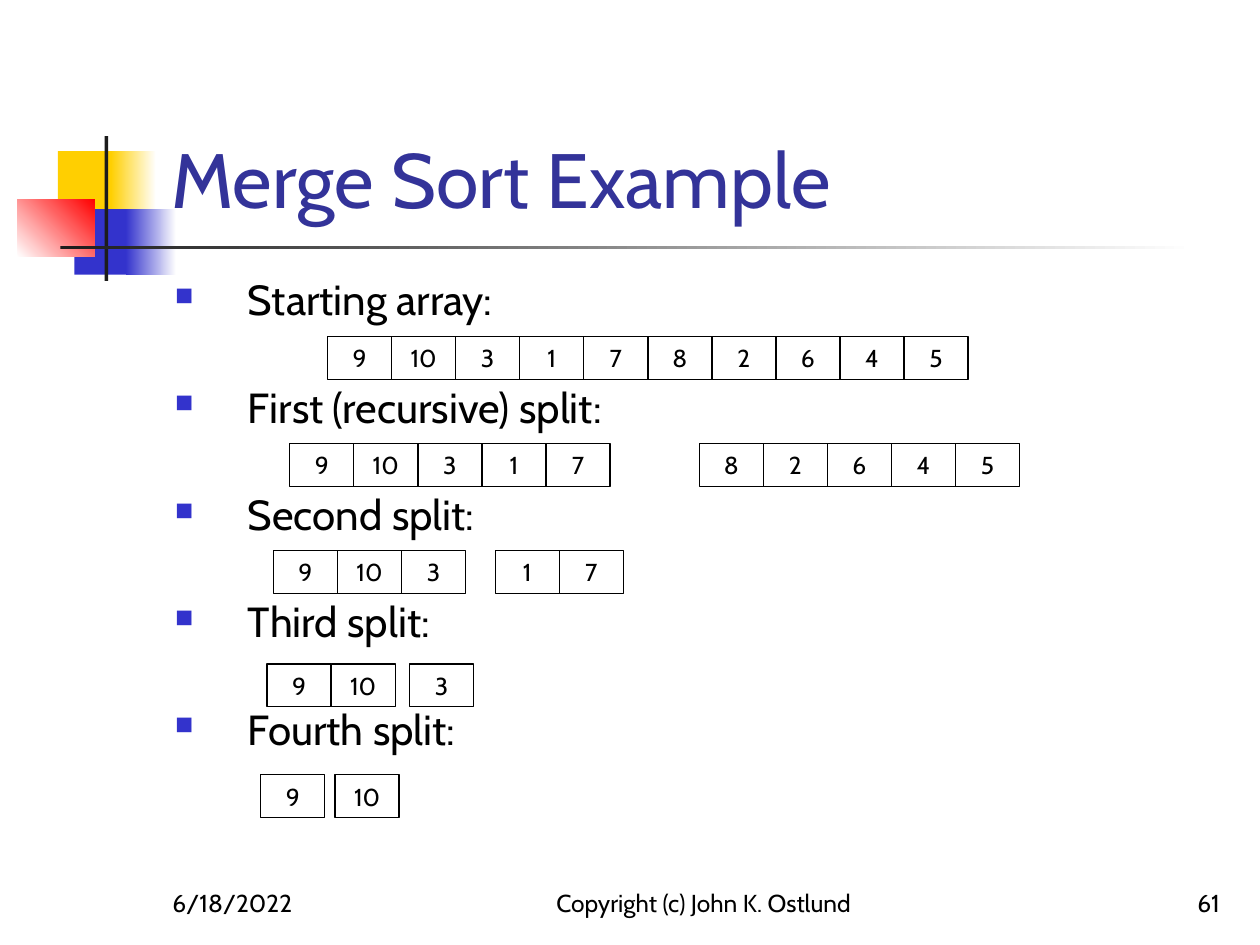
from dataclasses import dataclass

from lxml import etree
from pptx import Presentation
from pptx.dml.color import RGBColor
from pptx.enum.shapes import MSO_SHAPE
from pptx.enum.text import MSO_ANCHOR, MSO_AUTO_SIZE, PP_ALIGN
from pptx.oxml.ns import qn
from pptx.util import Inches, Pt

RECTANGLE = MSO_SHAPE.RECTANGLE
BOTTOM, MIDDLE = MSO_ANCHOR.BOTTOM, MSO_ANCHOR.MIDDLE
NO_FIT = MSO_AUTO_SIZE.NONE
LEFT, CENTER, RIGHT = PP_ALIGN.LEFT, PP_ALIGN.CENTER, PP_ALIGN.RIGHT

FONT = "Cabin"
COLORS = {
    "yellow": "FFCF01",
    "blue": "3333CC",
    "red": "FF0000",
    "charcoal": "1C1C1C",
    "white": "FFFFFF",
    "title": "333399",
    "black": "000000",
}
CELL_WIDTH, CELL_HEIGHT = 6.1 / 12, 0.34


@dataclass
class Ornament:
    left: float
    top: float
    width: float
    height: float
    color: str
    fade_to: str = ""
    angle: float = 0


@dataclass
class Footer:
    text: str
    left: float
    width: float
    align: PP_ALIGN


@dataclass
class Array:
    left: float
    top: float
    values: list[int]


ORNAMENTS = [
    Ornament(0.46, 1.2, 0.48, 0.52, "yellow"),
    Ornament(0.88, 1.2, 0.36, 0.52, "yellow", "white"),
    Ornament(0.59, 1.66, 0.46, 0.52, "blue"),
    Ornament(1, 1.66, 0.4, 0.52, "blue", "white"),
    Ornament(0.14, 1.58, 0.61, 0.46, "white", "red", 45),
    Ornament(0.83, 1.08, 0.03, 1.15, "charcoal"),
    Ornament(0.48, 1.95, 9, 0.03, "charcoal", "white"),
]
STEPS = [
    "Starting array:",
    "First (recursive) split:",
    "Second split:",
    "Third split:",
    "Fourth split:",
]
FOOTERS = [
    Footer("61", 7.7, 2.08, RIGHT),
    Footer("6/18/2022", 1.27, 2.08, LEFT),
    Footer("Copyright (c) John K. Ostlund", 4, 3.17, CENTER),
]
ARRAYS = [
    Array(2.6, 2.67, [9, 10, 3, 1, 7, 8, 2, 6, 4, 5]),
    Array(2.3, 3.52, [9, 10, 3, 1, 7]),
    Array(5.55, 3.52, [8, 2, 6, 4, 5]),
    Array(2.17, 4.37, [9, 10, 3]),
    Array(3.93, 4.37, [1, 7]),
    Array(2.12, 5.27, [9, 10]),
    Array(3.25, 5.27, [3]),
    Array(2.07, 6.15, [9]),
    Array(2.66, 6.15, [10]),
]


def rgb(name: str) -> RGBColor:
    return RGBColor.from_string(COLORS[name])


def format_para(para, size: float, color: str = "black", align: PP_ALIGN = LEFT) -> None:
    para.alignment = align
    for span in para.runs:
        span.font.name = FONT
        span.font.size = Pt(size)
        span.font.color.rgb = rgb(color)


def add_rectangle(page, left: float, top: float, width: float, height: float):
    box = page.shapes.add_shape(
        RECTANGLE, Inches(left), Inches(top), Inches(width), Inches(height)
    )
    box.shadow.inherit = False
    return box


def add_text_box(page, left: float, top: float, width: float, height: float):
    box = page.shapes.add_textbox(
        Inches(left), Inches(top), Inches(width), Inches(height)
    )
    box.text_frame.word_wrap = True
    return box


def draw_ornament(page, item: Ornament) -> None:
    box = add_rectangle(page, item.left, item.top, item.width, item.height)
    box.line.fill.background()
    if item.fade_to:
        box.fill.gradient()
        box.fill.gradient_angle = item.angle
        for stop, name in zip(box.fill.gradient_stops, (item.color, item.fade_to)):
            stop.color.rgb = rgb(name)
    else:
        box.fill.solid()
        box.fill.fore_color.rgb = rgb(item.color)


def draw_title(page, text: str) -> None:
    title = page.shapes.title
    title.element.getparent().append(title.element)
    title.left, title.top = Inches(1.26), Inches(0.23)
    title.width, title.height = Inches(8.52), Inches(1.6)
    title.text_frame.text = text
    title.text_frame.vertical_anchor = BOTTOM
    title.text_frame.auto_size = NO_FIT
    format_para(title.text_frame.paragraphs[0], 44, "title")


def add_bullet(para) -> None:
    properties = para._p.get_or_add_pPr()
    properties.set("marL", str(Inches(0.58)))
    properties.set("indent", str(-Inches(0.58)))
    bullet_color = etree.SubElement(properties, qn("a:buClr"))
    etree.SubElement(bullet_color, qn("a:srgbClr"), val=COLORS["blue"])
    etree.SubElement(properties, qn("a:buSzPct"), val="60000")
    etree.SubElement(properties, qn("a:buChar"), char="■")


def draw_steps(page) -> None:
    frame = add_text_box(page, 1.29, 2.17, 8.5, 4.5).text_frame
    frame.text = "\n".join(STEPS)
    for index, para in enumerate(frame.paragraphs):
        add_bullet(para)
        para.line_spacing = 0.9
        para.space_before = Pt(35.4 if index else 0)
        format_para(para, 24)


def draw_footer(page, footer: Footer) -> None:
    frame = add_text_box(page, footer.left, 6.83, footer.width, 0.5).text_frame
    frame.vertical_anchor = BOTTOM
    frame.text = footer.text
    format_para(frame.paragraphs[0], 14, align=footer.align)


def draw_array(page, array: Array) -> None:
    for index, value in enumerate(array.values):
        left = array.left + index * CELL_WIDTH
        cell = add_rectangle(page, left, array.top, CELL_WIDTH, CELL_HEIGHT)
        cell.fill.background()
        cell.line.color.rgb = rgb("black")
        cell.line.width = Pt(0.75)
        cell.text_frame.text = str(value)
        cell.text_frame.vertical_anchor = MIDDLE
        format_para(cell.text_frame.paragraphs[0], 14, align=CENTER)


def main() -> None:
    deck = Presentation()
    deck.slide_width, deck.slide_height = Inches(10), Inches(7.5)
    page = deck.slides.add_slide(deck.slide_layouts[5])
    for item in ORNAMENTS:
        draw_ornament(page, item)
    draw_title(page, "Merge Sort Example")
    draw_steps(page)
    for footer in FOOTERS:
        draw_footer(page, footer)
    for array in ARRAYS:
        draw_array(page, array)
    deck.save("out.pptx")


if __name__ == "__main__":
    main()
